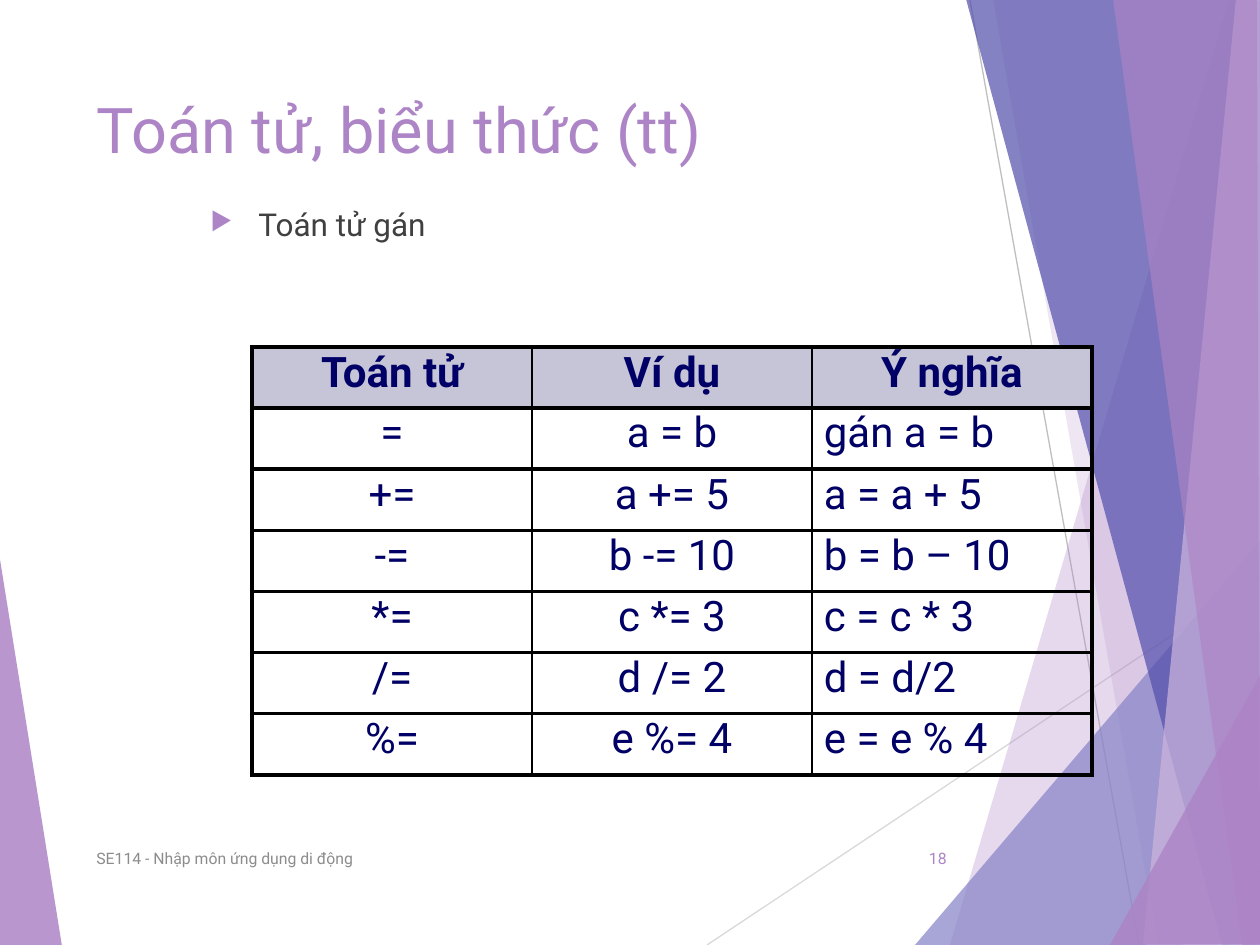
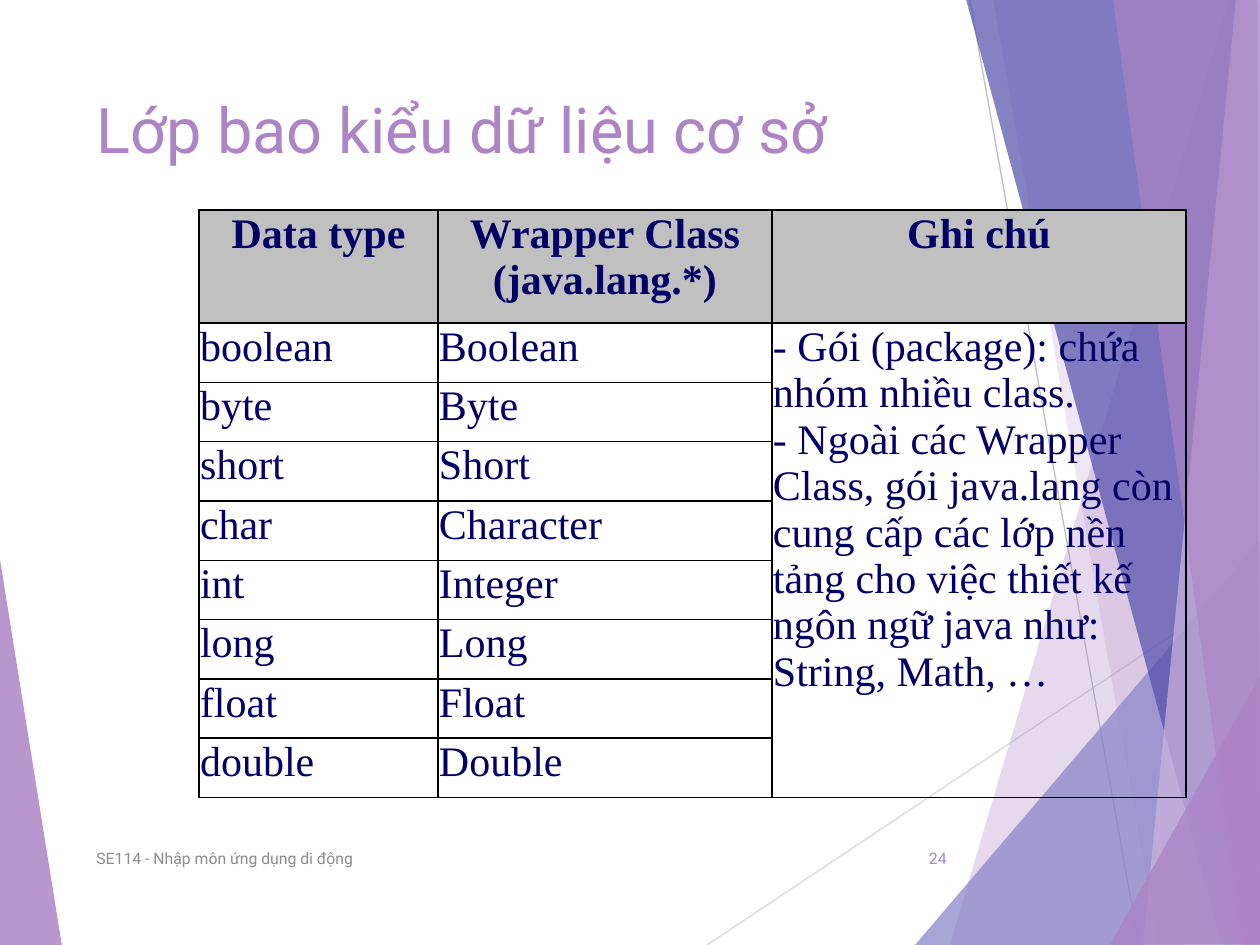
from lxml.etree import SubElement
from pptx import Presentation
from pptx.dml.color import RGBColor
from pptx.enum.shapes import MSO_CONNECTOR
from pptx.enum.text import MSO_ANCHOR, MSO_AUTO_SIZE, PP_ALIGN
from pptx.oxml import parse_xml
from pptx.oxml.ns import nsdecls, qn
from pptx.util import Pt

PX = 914400 / 126  # EMU in one px
PAGE_WIDTH, PAGE_HEIGHT = 1260, 945

COLORS = {
    "accent": "AD84C6", "periwinkle": "8784C7", "indigo": "524EAB", "lilac": "CEB5DD",
    "pale_line": "D9D9D9", "gray_line": "BFBFBF", "body": "404040", "footer": "8C8C8C",
    "table_text": "000066", "border": "000000", "lavender": "C5C5D7", "silver": "C0C0C0",
}
SANS, SERIF = "Roboto", "Times New Roman"
THIN, THICK = 1, 2.25

TITLE_BOX = (84, 84, 875, 181)
FOOTER_BOX = (84, 833, 638, 50)
NUMBER_BOX = (888, 833, 71, 50)
FOOTER = "SE114 - Nhập môn ứng dụng di động"

# Background: colour, opacity in percent, corner points
LEFT_WEDGE = ("accent", 85, [(-1, 553), (62, 946), (-1, 945)])
RIGHT_FACETS = [
    ("accent", 30, [(1229, 0), (950, 945), (1262, 946), (1261, 1)]),
    ("accent", 20, [(993, -1), (1158, 945), (1261, 945), (1261, -1)]),
    ("periwinkle", 72, [(915, 945), (1260, 541), (1261, 945)]),
    ("indigo", 70, [(966, -1), (1222, 945), (1261, 944), (1261, -1)]),
    ("lilac", 70, [(1236, -1), (1143, 945), (1261, 945), (1260, -1)]),
    ("accent", 65, [(1113, -1), (1242, 945), (1260, 945), (1257, -1)]),
    ("accent", 80, [(1110, 945), (1261, 674), (1261, 944)]),
]
HAIRLINES = [
    ("pale_line", (707, 945, 1261, 576)),
    ("gray_line", (970, 0, 1139, 945)),
]

OPERATORS = [
    ("Toán tử", "Ví dụ", "Ý nghĩa"),
    ("=", "a = b", "gán a = b"),
    ("+=", "a += 5", "a = a + 5"),
    ("-=", "b -= 10", "b = b – 10"),
    ("*=", "c *= 3", "c = c * 3"),
    ("/=", "d /= 2", "d = d/2"),
    ("%=", "e %= 4", "e = e % 4"),
]
WRAPPERS = [
    ("Data type", "Wrapper Class (java.lang.*)", "Ghi chú"),
    ("boolean", "Boolean",
     "- Gói (package): chứa nhóm nhiều class.\n"
     "- Ngoài các Wrapper Class, gói java.lang còn cung cấp các lớp nền tảng "
     "cho việc thiết kế ngôn ngữ java như: String, Math, …"),
    ("byte", "Byte", ""),
    ("short", "Short", ""),
    ("char", "Character", ""),
    ("int", "Integer", ""),
    ("long", "Long", ""),
    ("float", "Float", ""),
    ("double", "Double", ""),
]


def emu(*lengths):
    return [round(length * PX) for length in lengths]


def color(name):
    return RGBColor.from_string(COLORS[name])


def style_paragraph(para, size, tint, font=SANS, bold=False, align=PP_ALIGN.LEFT):
    para.alignment = align
    para.font.name = font
    para.font.size = Pt(size)
    para.font.bold = bold
    para.font.color.rgb = color(tint)


# Background

def add_facet(page, tint, opacity, points):
    builder = page.shapes.build_freeform(*points[0], scale=PX)
    builder.add_line_segments(points[1:])
    facet = builder.convert_to_shape()
    facet.shadow.inherit = False
    facet.line.fill.background()
    facet.fill.solid()
    facet.fill.fore_color.rgb = color(tint)
    tone = facet.fill._xPr.find(qn("a:solidFill"))[0]
    SubElement(tone, qn("a:alpha"), val=str(opacity * 1000))


def add_hairline(page, tint, ends):
    line = page.shapes.add_connector(MSO_CONNECTOR.STRAIGHT, *emu(*ends))
    line.line.color.rgb = color(tint)
    line.line.width = Pt(0.75)
    SubElement(line._element.spPr, qn("a:effectLst"))


def add_background(page):
    add_facet(page, *LEFT_WEDGE)
    for hairline in HAIRLINES:
        add_hairline(page, *hairline)
    for facet in RIGHT_FACETS:
        add_facet(page, *facet)


# Text

def add_text(page, box, text, anchor=MSO_ANCHOR.TOP):
    frame = page.shapes.add_textbox(*emu(*box)).text_frame
    frame.word_wrap = True
    frame.vertical_anchor = anchor
    frame.text = text
    return frame.paragraphs[0]


def add_bullet(page, box, text):
    para = add_text(page, box, text)
    para.space_before = Pt(10)
    properties = para._p.get_or_add_pPr()
    hanging = emu(48)[0]
    properties.set("marL", str(hanging))
    properties.set("indent", str(-hanging))
    bullet_color = SubElement(properties, qn("a:buClr"))
    SubElement(bullet_color, qn("a:srgbClr"), val=COLORS["accent"])
    SubElement(properties, qn("a:buSzPct"), val="80000")
    SubElement(properties, qn("a:buChar"), char="▶")
    style_paragraph(para, 18, "body")


def place_title(page, box, text):
    title = page.shapes.title
    title.left, title.top, title.width, title.height = emu(*box)
    frame = title.text_frame
    frame.text = text
    frame.vertical_anchor = MSO_ANCHOR.TOP
    frame.auto_size = MSO_AUTO_SIZE.NONE
    style_paragraph(frame.paragraphs[0], 36, "accent")


def add_page(deck, title, number):
    page = deck.slides.add_slide(deck.slide_layouts[5])
    add_background(page)
    place_title(page, TITLE_BOX, title)
    footer = add_text(page, FOOTER_BOX, FOOTER, MSO_ANCHOR.MIDDLE)
    style_paragraph(footer, 9, "footer")
    page_number = add_text(page, NUMBER_BOX, str(number), MSO_ANCHOR.MIDDLE)
    style_paragraph(page_number, 9, "accent", align=PP_ALIGN.RIGHT)
    return page


# Tables

def set_borders(cell, left, right, top, bottom):
    properties = cell._tc.get_or_add_tcPr()
    widths = {"lnL": left, "lnR": right, "lnT": top, "lnB": bottom}
    for position, (side, width) in enumerate(widths.items()):
        properties.insert(position, parse_xml(
            f'<a:{side} {nsdecls("a")} w="{Pt(width)}"><a:solidFill>'
            f'<a:srgbClr val="{COLORS["border"]}"/></a:solidFill></a:{side}>'))


def add_grid(page, box, rows, column_widths, header_height, header_fill, font,
             frame_width, body_aligns, last_column_inset=1):
    last_row, last_column = len(rows) - 1, len(column_widths) - 1
    table = page.shapes.add_table(len(rows), len(column_widths), *emu(*box)).table
    table.horz_banding = False
    for column, width in zip(table.columns, column_widths):
        column.width = emu(width)[0]
    body_height = (box[3] - header_height) / last_row
    for index, row in enumerate(table.rows):
        row.height = emu(body_height if index else header_height)[0]

    for row_index, texts in enumerate(rows):
        is_header = row_index == 0
        for column_index, text in enumerate(texts):
            cell = table.cell(row_index, column_index)
            cell.text = text
            cell.margin_left = cell.margin_right = cell.margin_top = cell.margin_bottom = emu(1)[0]
            if is_header:
                cell.fill.solid()
                cell.fill.fore_color.rgb = color(header_fill)
            else:
                cell.fill.background()
                if column_index == last_column:
                    cell.margin_left = emu(last_column_inset)[0]
            align = PP_ALIGN.CENTER if is_header else body_aligns[column_index]
            for para in cell.text_frame.paragraphs:
                style_paragraph(para, 24, "table_text", font, is_header, align)
            set_borders(cell,
                        THIN if column_index else frame_width,
                        frame_width if column_index == last_column else THIN,
                        frame_width, frame_width)
    return table


# Slides

def build_operators(deck):
    page = add_page(deck, "Toán tử, biểu thức (tt)", 18)
    add_bullet(page, (198, 199, 1033, 116), "Toán tử gán")
    add_grid(page, (252, 347, 840, 428), OPERATORS, [280] * 3, 61, "lavender", SANS, THICK,
             [PP_ALIGN.CENTER, PP_ALIGN.CENTER, PP_ALIGN.LEFT], last_column_inset=12)


def build_wrappers(deck):
    page = add_page(deck, "Lớp bao kiểu dữ liệu cơ sở", 24)
    table = add_grid(page, (199, 210, 987, 588), WRAPPERS, [239, 334, 414], 113, "silver",
                     SERIF, THIN, [PP_ALIGN.LEFT] * 3)
    table.cell(1, 2).merge(table.cell(len(WRAPPERS) - 1, 2))


def main():
    deck = Presentation()
    deck.slide_width, deck.slide_height = emu(PAGE_WIDTH, PAGE_HEIGHT)
    build_operators(deck)
    build_wrappers(deck)
    deck.save("out.pptx")


if __name__ == "__main__":
    main()
